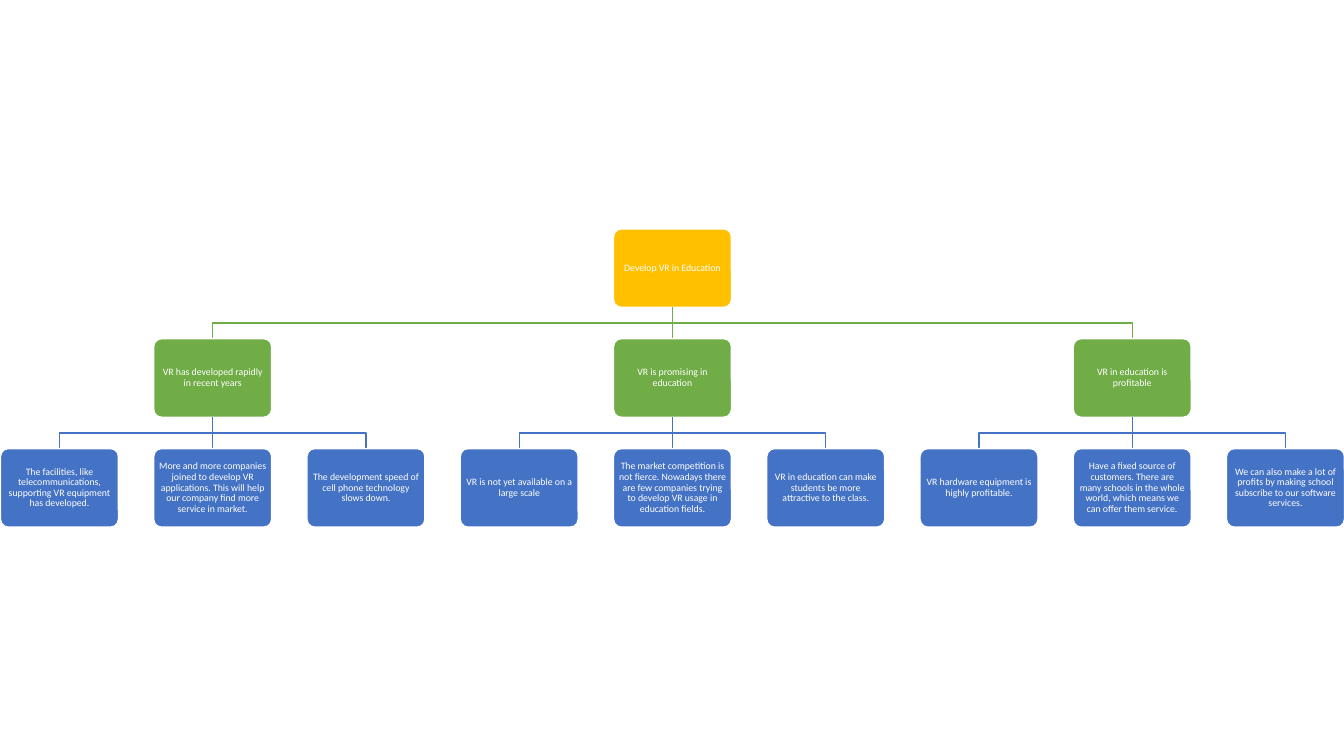
from lxml import etree
from pptx import Presentation
from pptx.dml.color import RGBColor
from pptx.enum.shapes import MSO_CONNECTOR, MSO_SHAPE
from pptx.enum.text import MSO_ANCHOR, PP_ALIGN
from pptx.oxml.ns import qn
from pptx.util import Inches, Pt

WHITE = RGBColor(0xFF, 0xFF, 0xFF)
GOLD = RGBColor(0xFF, 0xC0, 0x00)
GREEN = RGBColor(0x70, 0xAD, 0x47)
BLUE = RGBColor(0x44, 0x72, 0xC4)

# Content: the goal, then each reason with its arguments
GOAL = "Develop VR in Education"
REASONS = [
    ("VR has developed rapidly in recent years", [
        "The facilities, like telecommunications, supporting VR equipment has developed.",
        "More and more companies joined to develop VR applications. "
        "This will help our company find more service in market.",
        "The development speed of cell phone technology slows down.",
    ]),
    ("VR is promising in education", [
        "VR is not yet available on a large scale",
        "The market competition is not fierce. Nowadays there are few companies "
        "trying to develop VR usage in education fields.",
        "VR in education can make students be more attractive to the class.",
    ]),
    ("VR in education is profitable", [
        "VR hardware equipment is highly profitable.",
        "Have a fixed source of customers. There are many schools in the whole world, "
        "which means we can offer them service.",
        "We can also make a lot of profits by making school subscribe to our software services.",
    ]),
]

# Layout: nine columns around the slide's middle, three levels
MIDDLE, PITCH = 6.67, 1.52
TOP, LEVEL_STEP = 2.27, 1.09
BOX_W, BOX_H = 1.17, 0.78
LEVEL_COLORS = [GOLD, GREEN, BLUE]

prs = Presentation()
prs.slide_width, prs.slide_height = Inches(13.33), Inches(7.5)
slide = prs.slides.add_slide(prs.slide_layouts[6])


def center_x(column):
    return MIDDLE + (column - 4) * PITCH


def level_top(level):
    return TOP + level * LEVEL_STEP


def add_box(text, column, level, size=7, color=WHITE):
    sp = slide.shapes.add_shape(
        MSO_SHAPE.ROUNDED_RECTANGLE, Inches(center_x(column) - BOX_W / 2),
        Inches(level_top(level)), Inches(BOX_W), Inches(BOX_H))
    sp.adjustments[0] = 0.1
    sp.shadow.inherit = False
    sp.fill.solid()
    sp.fill.fore_color.rgb = LEVEL_COLORS[level]
    sp.line.color.rgb = WHITE
    sp.line.width = Pt(1)
    tf = sp.text_frame
    tf.word_wrap = True
    tf.vertical_anchor = MSO_ANCHOR.MIDDLE
    tf.margin_left = tf.margin_right = tf.margin_top = tf.margin_bottom = Inches(0.03)
    p = tf.paragraphs[0]
    p.alignment = PP_ALIGN.CENTER
    p.line_spacing = 0.9
    r = p.add_run()
    r.text = text
    r.font.name, r.font.size = "Calibri", Pt(size)
    r.font.color.rgb = color


def add_branch(parent, child, level):
    """Join a box to its parent one level up, straight or through a bend."""
    x1, x2 = Inches(center_x(parent)), Inches(center_x(child))
    y1, y2 = Inches(level_top(level - 1) + BOX_H), Inches(level_top(level))
    if parent == child:
        sp = slide.shapes.add_connector(MSO_CONNECTOR.STRAIGHT, x1, y1, x2, y2)
        etree.SubElement(sp._element.spPr, qn("a:effectLst"))
    else:
        bend = (y1 + y2) // 2
        builder = slide.shapes.build_freeform(x1, y1)
        builder.add_line_segments([(x1, bend), (x2, bend), (x2, y2)], close=False)
        sp = builder.convert_to_shape()
        sp.fill.background()
        sp.shadow.inherit = False
    sp.line.color.rgb = LEVEL_COLORS[level]
    sp.line.width = Pt(1)


# Tree: each reason stands above the middle one of its three arguments
add_box(GOAL, 4, 0)
for i, (reason, arguments) in enumerate(REASONS):
    reason_column = 3 * i + 1
    add_branch(4, reason_column, 1)
    add_box(reason, reason_column, 1)
    for column, argument in enumerate(arguments, start=3 * i):
        add_branch(reason_column, column, 2)
        add_box(argument, column, 2)

prs.save("out.pptx")
